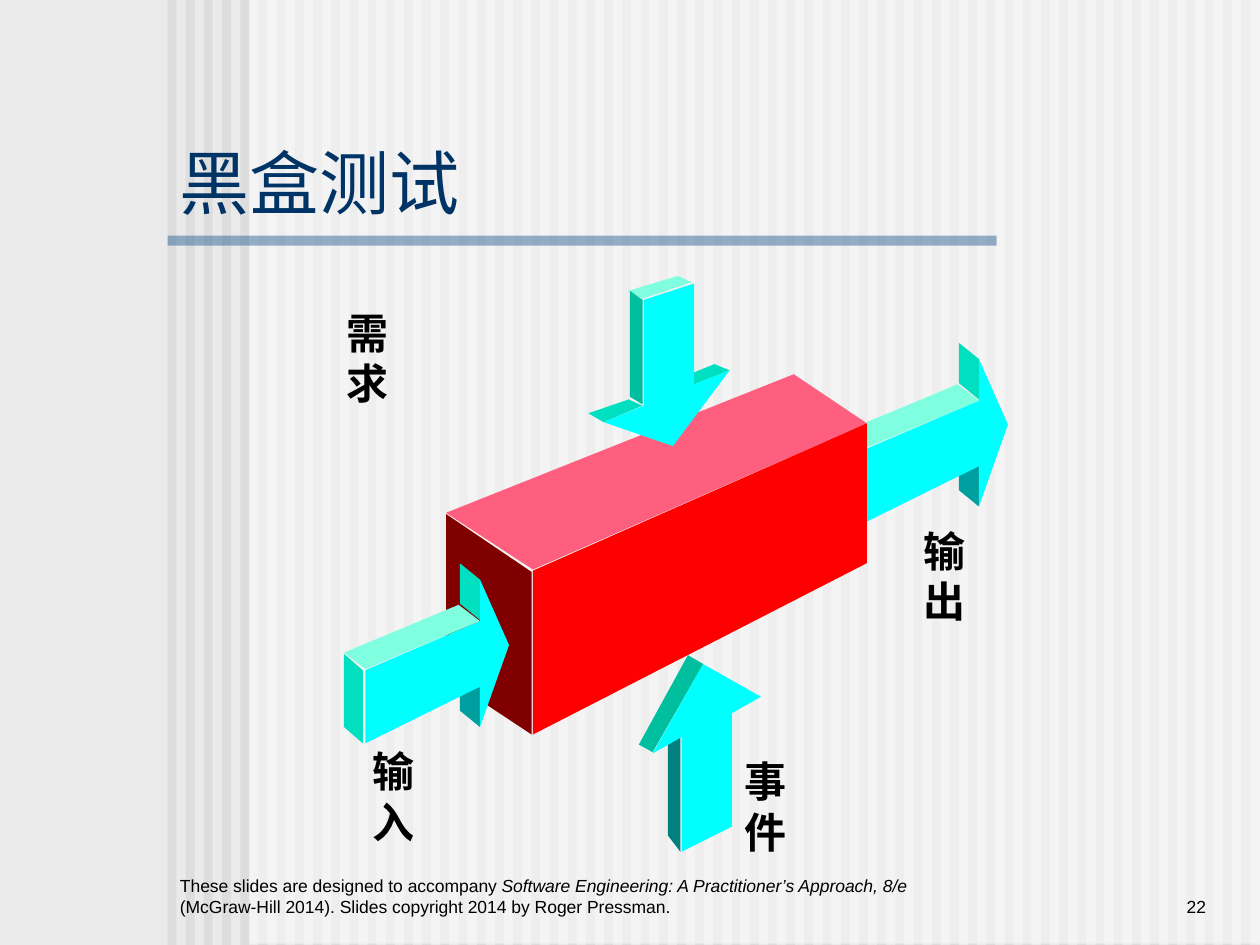
import dataclasses

import pptx
import pptx.dml.color
import pptx.enum.shapes
import pptx.enum.text
import pptx.oxml.ns
import pptx.util
from lxml import etree

Inches = pptx.util.Inches
Align = pptx.enum.text.PP_ALIGN
Anchor = pptx.enum.text.MSO_ANCHOR


@dataclasses.dataclass(frozen=True)
class Theme:
    font: str = "Arial"
    background: str = "EAEAEA"
    stripe: str = "DDDDDD"
    veil: str = "FFFFFF"
    rule: str = "336699"
    title: str = "003366"
    text: str = "000000"
    front: str = "00FFFF"
    top: str = "7FFFDF"
    head: str = "00DFBF"
    side: str = "00BF9F"
    shade: str = "009F9F"
    dark: str = "008080"
    box_end: str = "800000"
    box_top: str = "FF5F7F"
    box_front: str = "FF0000"
    title_size: int = 40
    label_size: int = 24
    footer_size: int = 10


THEME = Theme()

FLOW_ARROW = [
    (THEME.shade, [(7.77, 4.02), (7.77, 3.7), (7.61, 3.57), (7.61, 3.89)]),
    (THEME.front, [(7.77, 3.18), (6.86, 3.57), (6.86, 4.15), (7.77, 3.7),
                   (7.77, 4.02), (8, 3.37), (7.77, 2.85)]),
    (THEME.head, [(6.84, 3.57), (6.84, 4.15), (6.69, 4.02), (6.69, 3.44)]),
    (THEME.top, [(6.69, 3.43), (6.86, 3.56), (7.77, 3.18), (7.6, 3.05)]),
    (THEME.head, [(7.77, 2.85), (7.61, 2.72), (7.61, 3.04), (7.77, 3.17)]),
]
EVENT_ARROW = [
    (THEME.dark, [(5.4, 6.76), (5.4, 5.86), (5.3, 5.79), (5.3, 6.63)]),
    (THEME.front, [(5.58, 5.27), (6.04, 5.53), (5.81, 5.66), (5.81, 6.56),
                   (5.41, 6.76), (5.41, 5.85), (5.18, 5.98)]),
    (THEME.side, [(5.18, 5.97), (5.07, 5.91), (5.46, 5.2), (5.58, 5.27)]),
]
BLACK_BOX = [
    (THEME.box_end, [(3.54, 4.08), (4.22, 4.54), (4.22, 5.83), (3.54, 5.38)]),
    (THEME.box_top, [(3.54, 4.07), (4.23, 4.52), (6.88, 3.36), (6.3, 2.97)]),
    (THEME.box_front, [(4.23, 4.53), (4.23, 5.83), (6.88, 4.47), (6.88, 3.36)]),
]
REQUIREMENT_ARROW = [
    (THEME.top, [(4.98, 2.31), (5.1, 2.37), (5.49, 2.24), (5.38, 2.19)]),
    (THEME.head, [(5.51, 3.05), (5.79, 2.94), (5.67, 2.89), (5.4, 3)]),
    (THEME.front, [(5.11, 2.38), (5.51, 2.25), (5.51, 3.05), (5.79, 2.94),
                   (5.34, 3.54), (4.79, 3.35), (5.11, 3.22)]),
    (THEME.head, [(4.79, 3.35), (4.67, 3.28), (4.99, 3.17), (5.1, 3.22)]),
    (THEME.side, [(5, 3.15), (5.1, 3.21), (5.1, 2.38), (5, 2.31)]),
]
INPUT_OFFSET = (-3.96, 1.75)

LABELS = [
    ("需求", 2.65, 2.39),
    ("事件", 5.81, 5.95),
    ("输入", 2.86, 5.87),
    ("输出", 7.23, 4.12),
]
FOOTER = [
    ("These slides are designed to accompany ", False),
    ("Software Engineering: A Practitioner’s Approach, 8/e ", True),
    ("(McGraw-Hill 2014). Slides copyright 2014 by Roger Pressman.", False),
]


def rgb(color):
    return pptx.dml.color.RGBColor.from_string(color)


def set_attributes(target, values):
    for name, value in values.items():
        setattr(target, name, value)


def paint(shape, color, opacity=100):
    shape.shadow.inherit = False
    shape.line.fill.background()
    shape.fill.solid()
    shape.fill.fore_color.rgb = rgb(color)
    if opacity < 100:
        color_element = shape.fill._xPr.find(".//" + pptx.oxml.ns.qn("a:srgbClr"))
        alpha = etree.SubElement(color_element, pptx.oxml.ns.qn("a:alpha"))
        alpha.set("val", str(opacity * 1000))


def add_bar(slide, left, top, width, height, color, opacity=100):
    bar = slide.shapes.add_shape(
        pptx.enum.shapes.MSO_SHAPE.RECTANGLE,
        Inches(left), Inches(top), Inches(width), Inches(height))
    paint(bar, color, opacity)


def add_backdrop(slide):
    slide.background.fill.solid()
    slide.background.fill.fore_color.rgb = rgb(THEME.background)
    count, first, last = 60, 1.33, 9.85
    pitch = (last - first) / (count - 1)
    for index in range(count):
        add_bar(slide, first + index * pitch, 0, 0.07, 7.5, THEME.stripe)
    add_bar(slide, 1.98, -0.01, 8.02, 7.5, THEME.veil, 50)
    add_bar(slide, 1.33, 1.87, 6.58, 0.08, THEME.rule, 50)


def add_solid(slide, faces, offset=(0, 0)):
    for color, corners in faces:
        points = [(Inches(x + offset[0]), Inches(y + offset[1])) for x, y in corners]
        builder = slide.shapes.build_freeform(*points[0])
        builder.add_line_segments(points[1:], close=True)
        paint(builder.convert_to_shape(), color)


def add_text(slide, runs, left, top, width, height, size, color=THEME.text,
             bold=False, align=Align.LEFT, anchor=Anchor.TOP, wrap=True):
    box = slide.shapes.add_textbox(
        Inches(left), Inches(top), Inches(width), Inches(height))
    set_attributes(box.text_frame, {"word_wrap": wrap, "vertical_anchor": anchor})
    paragraph = box.text_frame.paragraphs[0]
    paragraph.alignment = align
    for text, italic in runs:
        run = paragraph.add_run()
        run.text = text
        set_attributes(run.font, {
            "name": THEME.font,
            "size": pptx.util.Pt(size),
            "bold": bold,
            "italic": italic,
        })
        run.font.color.rgb = rgb(color)


def main():
    presentation = pptx.Presentation()
    set_attributes(presentation, {"slide_width": Inches(10), "slide_height": Inches(7.5)})
    slide = presentation.slides.add_slide(presentation.slide_layouts[6])

    add_backdrop(slide)
    add_text(slide, FOOTER, 1.33, 6.83, 6, 0.5, THEME.footer_size, anchor=Anchor.BOTTOM)
    add_text(slide, [("22", False)], 8.25, 6.83, 1.42, 0.5, THEME.footer_size,
             align=Align.RIGHT, anchor=Anchor.BOTTOM)
    add_text(slide, [("黑盒测试", False)], 1.33, 1.17, 5.68, 0.54, THEME.title_size,
             color=THEME.title, anchor=Anchor.MIDDLE)

    for faces in (FLOW_ARROW, EVENT_ARROW, BLACK_BOX, REQUIREMENT_ARROW):
        add_solid(slide, faces)
    add_solid(slide, FLOW_ARROW, INPUT_OFFSET)

    for text, left, top in LABELS:
        add_text(slide, [(text, False)], left, top, 0.86, 0.5, THEME.label_size,
                 bold=True, wrap=False)

    presentation.save("out.pptx")


if __name__ == "__main__":
    main()
